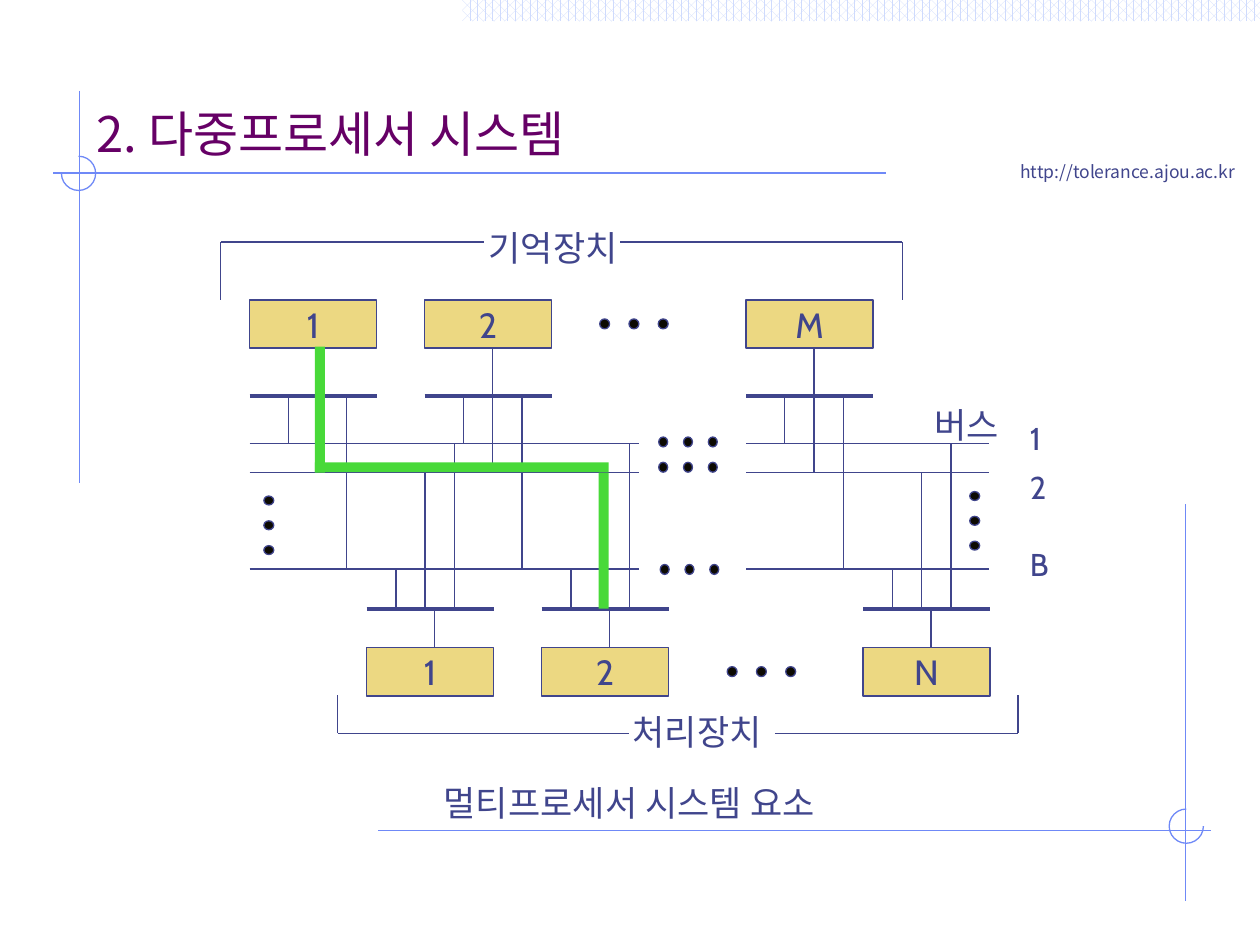
from lxml.etree import SubElement
from pptx import Presentation
from pptx.dml.color import RGBColor
from pptx.enum.dml import MSO_PATTERN
from pptx.enum.shapes import MSO_CONNECTOR, MSO_SHAPE
from pptx.enum.text import MSO_ANCHOR, PP_ALIGN
from pptx.oxml.ns import qn
from pptx.util import Cm, Pt

INK, GUIDE, PURPLE = "40458C", "6F89F7", "660066"
SAND, GREEN, BLACK = "ECD882", "48D939", "0C0A02"
GOTHIC, CABIN = "Noto Sans CJK KR", "Cabin"

TITLE = ("2. 다중프로세서 시스템", 1.7, 1.7, 17.98, 1.7, 28, GOTHIC, PURPLE)
LABELS = [
    ("http://tolerance.ajou.ac.kr", 20.32, 3.12, 4.83, 0.69, 10, GOTHIC, INK),
    ("처리장치", 12.5, 14.2, 3.33, 1.1, 20, CABIN, INK),
    ("기억장치", 9.6, 4.45, 3.33, 1.1, 20, CABIN, INK),
    ("멀티프로세서 시스템 요소", 8.69, 15.62, 8.71, 1.1, 20, CABIN, INK),
    ("버스", 18.59, 8, 1.93, 1.1, 20, CABIN, INK),
    ("1", 20.51, 8.33, 0.87, 1.02, 18, CABIN, INK),
    ("2", 20.51, 9.32, 0.87, 1.02, 18, CABIN, INK),
    ("B", 20.51, 10.87, 0.87, 1.02, 18, CABIN, INK),
]
GUIDES = [
    (7.62, 16.74, 24.41, 16.74), (23.9, 10.16, 23.9, 18.16),
    (1.6, 1.83, 1.6, 9.73), (1.07, 3.49, 17.86, 3.49),
]
CORNER_ARCS = [(23.57, 16.31, 0, 270), (1.24, 3.15, 270, 180)]
ARC_SIZE = 0.69

COLUMNS = [5.03, 8.56, 15.04]
BOX_W, BOX_H, STEM, TAP_STEP = 2.56, 0.97, 1.37, 0.59
BUSES = [8.94, 9.53, 11.47]
BUS_SPANS = [(5.03, 12.88), (15.04, 19.94)]
MEMORY = dict(names="12M", shift=0, box=6.05, bar=7.98, taps=0.78, buses=BUSES)
PROCESSORS = dict(names="12N", shift=2.36, box=13.06, bar=12.27, taps=0.59,
                  buses=BUSES[::-1])

BRACKETS = [
    (4.45, 4.88, 9.75, 4.88), (4.45, 4.88, 4.45, 6.05),
    (12.5, 4.88, 18.19, 4.88), (18.19, 4.88, 18.19, 6.05),
    (6.81, 14.78, 12.67, 14.78), (6.81, 14.78, 6.81, 14.02),
    (15.62, 14.78, 20.52, 14.78), (20.52, 14.78, 20.52, 14.02),
]
ELLIPSES = [
    (12.09, 6.43, 0.59, 0, 0.2, 0.2), (14.66, 13.44, 0.59, 0, 0.2, 0.2),
    (13.28, 8.81, 0.5, 0, 0.18, 0.2), (13.28, 9.32, 0.5, 0, 0.18, 0.2),
    (13.31, 11.38, 0.5, 0, 0.18, 0.2),
    (5.32, 10, 0, 0.5, 0.2, 0.18), (19.55, 9.91, 0, 0.5, 0.2, 0.18),
]
ROUTE = [(6.35, 6.99, 0.2, 2.54), (6.35, 9.32, 5.92, 0.2), (12.07, 9.53, 0.2, 2.74)]

deck = Presentation()
deck.slide_width, deck.slide_height = Cm(25.4), Cm(19.05)
slide = deck.slides.add_slide(deck.slide_layouts[6])


def rgb(value):
    return RGBColor.from_string(value)


def line(x1, y1, x2, y2, color=INK, width=0.75):
    connector = slide.shapes.add_connector(
        MSO_CONNECTOR.STRAIGHT, Cm(x1), Cm(y1), Cm(x2), Cm(y2))
    connector.line.color.rgb = rgb(color)
    connector.line.width = Pt(width)
    SubElement(connector._element.spPr, qn("a:effectLst"))


def shape(preset, x, y, w, h, fill=None, outline=None):
    part = slide.shapes.add_shape(preset, Cm(x), Cm(y), Cm(w), Cm(h))
    part.shadow.inherit = False
    if fill:
        part.fill.solid()
        part.fill.fore_color.rgb = rgb(fill)
    else:
        part.fill.background()
    if outline:
        part.line.color.rgb = rgb(outline)
        part.line.width = Pt(0.75)
    else:
        part.line.fill.background()
    return part


def write(frame, words, size, font, color):
    run = frame.paragraphs[0].add_run()
    run.text = words
    run.font.size = Pt(size)
    run.font.name = font
    run.font.color.rgb = rgb(color)
    SubElement(run._r.get_or_add_rPr(), qn("a:ea")).set("typeface", font)


def label(words, x, y, w, h, size, font, color, wrap=False, anchor=MSO_ANCHOR.TOP):
    frame = slide.shapes.add_textbox(Cm(x), Cm(y), Cm(w), Cm(h)).text_frame
    frame.word_wrap = wrap
    frame.vertical_anchor = anchor
    write(frame, words, size, font, color)


def unit_row(names, shift, box, bar, taps, buses):
    near_edge = box + BOX_H if box < bar else box
    for name, column in zip(names, COLUMNS):
        left = column + shift
        line(left, bar, left + BOX_W, bar, width=2.25)
        line(left + STEM, near_edge, left + STEM, bar)
        for index, bus in enumerate(buses):
            tap = left + taps + index * TAP_STEP
            line(tap, bar, tap, bus)
        unit = shape(MSO_SHAPE.RECTANGLE, left, box, BOX_W, BOX_H, SAND, INK)
        unit.text_frame.word_wrap = False
        unit.text_frame.vertical_anchor = MSO_ANCHOR.MIDDLE
        unit.text_frame.paragraphs[0].alignment = PP_ALIGN.CENTER
        write(unit.text_frame, name, 20, CABIN, INK)


band = shape(MSO_SHAPE.RECTANGLE, 9.32, 0, 16.08, 0.43)
band.fill.patterned()
band.fill.pattern = MSO_PATTERN.PERCENT_60
band.fill.fore_color.rgb = rgb("CFDBFD")
band.fill.back_color.rgb = rgb("FFFFFF")

for guide in GUIDES:
    line(*guide, color=GUIDE)
for x, y, start, end in CORNER_ARCS:
    arc = shape(MSO_SHAPE.ARC, x, y, ARC_SIZE, ARC_SIZE, outline=GUIDE)
    arc.adjustments[0] = start * 0.6
    arc.adjustments[1] = end * 0.6

label(*TITLE, wrap=True, anchor=MSO_ANCHOR.BOTTOM)
for row in (MEMORY, PROCESSORS):
    unit_row(**row)
for bracket in BRACKETS:
    line(*bracket)
for bus in BUSES:
    for start, end in BUS_SPANS:
        line(start, bus, end, bus)
for x, y, dx, dy, w, h in ELLIPSES:
    for index in range(3):
        shape(MSO_SHAPE.OVAL, x + index * dx, y + index * dy, w, h, BLACK, INK)
for entry in LABELS:
    label(*entry)
for segment in ROUTE:
    shape(MSO_SHAPE.RECTANGLE, *segment, fill=GREEN)

deck.save("out.pptx")
